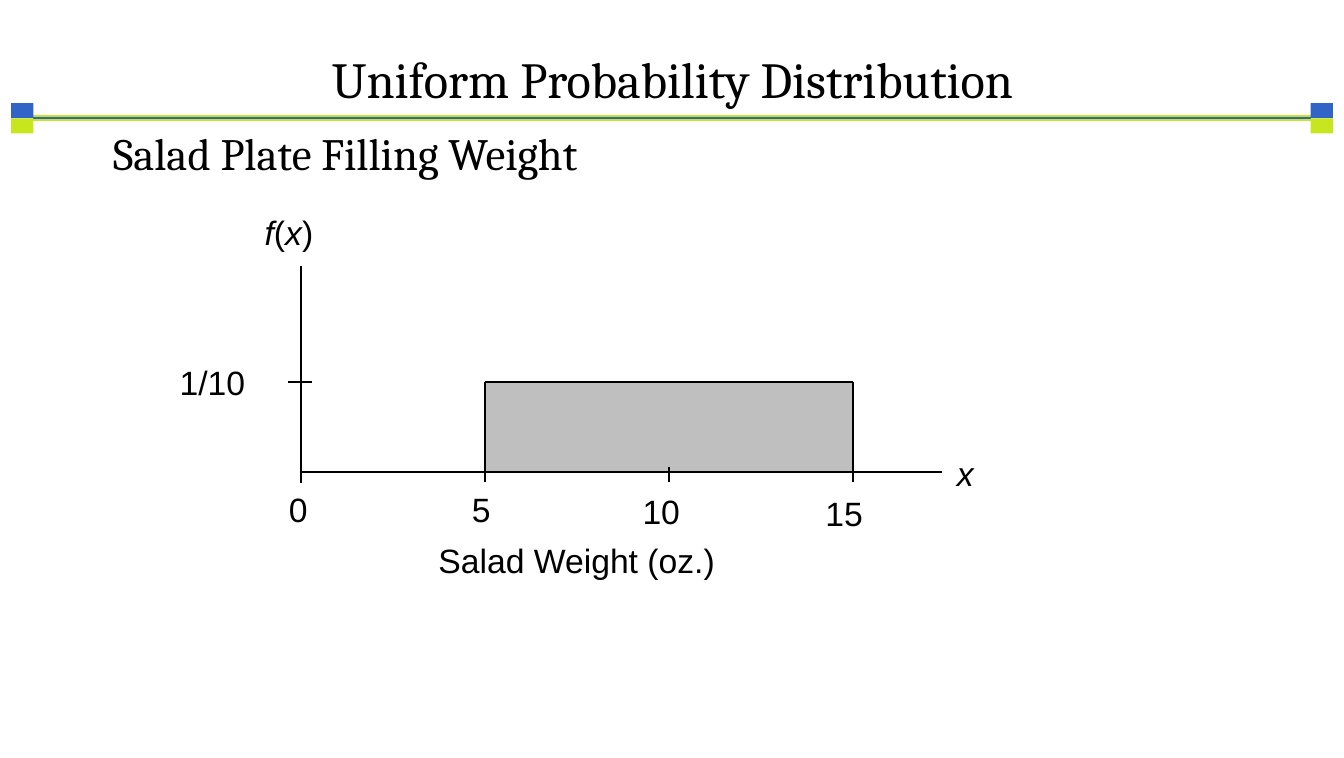
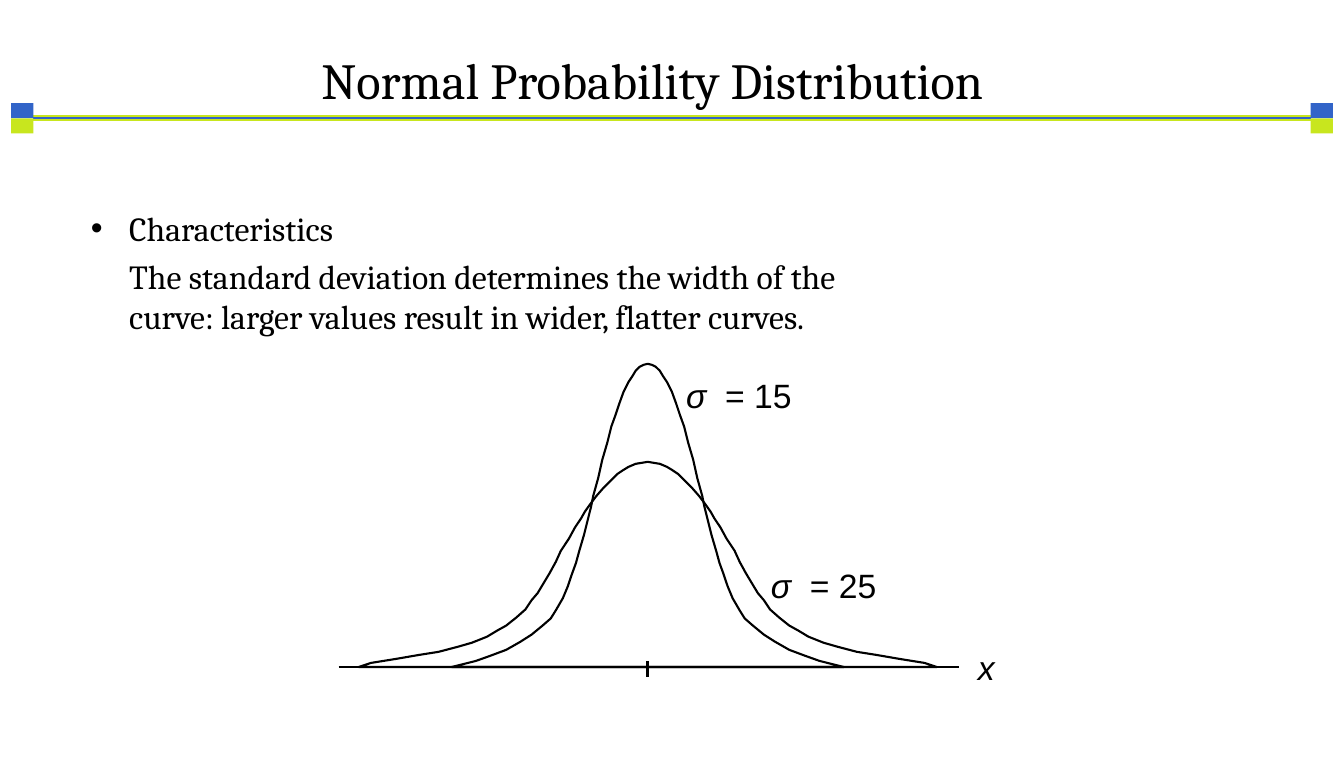
from pptx import Presentation
from pptx.dml.color import RGBColor
from pptx.enum.shapes import MSO_CONNECTOR, MSO_SHAPE
from pptx.enum.text import MSO_ANCHOR, PP_ALIGN
from pptx.oxml.ns import qn
from pptx.util import Inches, Pt
from lxml import etree

STRAIGHT = MSO_CONNECTOR.STRAIGHT
RECTANGLE = MSO_SHAPE.RECTANGLE
LEFT, CENTER = PP_ALIGN.LEFT, PP_ALIGN.CENTER
TOP, MIDDLE = MSO_ANCHOR.TOP, MSO_ANCHOR.MIDDLE

COLORS = {"text": "000000", "blue": "3264C8", "lime": "C8E61E", "area": "BFBFBF"}
SERIF = {"name": "Cambria", "size": Pt(24)}
SANS = {"name": "Arial", "size": Pt(24)}
TITLE = {"name": "Cambria", "size": Pt(36)}
SUBTITLE = {"name": "Cambria", "size": Pt(31.9)}
SIGMA_GAP = 670

NARROW_HALF = [
    (0, 3), (0.04, 2.99), (0.08, 2.97), (0.12, 2.93), (0.15, 2.88), (0.19, 2.82),
    (0.24, 2.72), (0.28, 2.61), (0.32, 2.49), (0.36, 2.38), (0.4, 2.22), (0.45, 2.05),
    (0.49, 1.87), (0.54, 1.69), (0.56, 1.59), (0.6, 1.43), (0.63, 1.31), (0.68, 1.14),
    (0.71, 1.03), (0.75, 0.92), (0.79, 0.8), (0.84, 0.68), (0.91, 0.56), (0.96, 0.48),
    (1.04, 0.41), (1.15, 0.32), (1.26, 0.25), (1.4, 0.17), (1.56, 0.11), (1.7, 0.06),
    (1.94, 0),
]
WIDE_HALF = [
    (0, 2.03), (0.06, 2.02), (0.12, 2.01), (0.19, 1.98), (0.24, 1.95), (0.3, 1.91),
    (0.37, 1.84), (0.44, 1.77), (0.51, 1.69), (0.57, 1.61), (0.62, 1.54), (0.66, 1.47),
    (0.72, 1.38), (0.78, 1.27), (0.86, 1.15), (0.91, 1.04), (0.97, 0.93), (1.03, 0.83),
    (1.09, 0.73), (1.15, 0.66), (1.21, 0.57), (1.3, 0.49), (1.4, 0.41), (1.49, 0.36),
    (1.59, 0.3), (1.74, 0.24), (1.88, 0.2), (2.07, 0.15), (2.26, 0.12), (2.49, 0.08),
    (2.74, 0.04), (2.86, 0),
]


def rgb(name):
    """Return the named palette colour."""
    return RGBColor.from_string(COLORS[name])


def add_text(page, box, paragraphs, font, wrap=True, anchor=TOP, **layout):
    """Place paragraphs, each a list of (text, italic) runs."""
    frame = page.shapes.add_textbox(*map(Inches, box)).text_frame
    frame.word_wrap = wrap
    frame.vertical_anchor = anchor
    for index, runs in enumerate(paragraphs):
        para = frame.paragraphs[0] if index == 0 else frame.add_paragraph()
        for key, value in {"alignment": LEFT, **layout}.items():
            setattr(para, key, value)
        for text, italic in runs:
            span = para.add_run()
            span.text = text
            for key, value in {**font, "italic": italic}.items():
                setattr(span.font, key, value)
            span.font.color.rgb = rgb("text")
    return frame


def add_label(page, left, top, width, *runs):
    """Place a one-line chart label."""
    return add_text(page, (left, top, width, 0.5), [runs], SANS, wrap=False)


def add_line(page, start, end, width=1, color="text"):
    """Draw a straight line without shadow."""
    line = page.shapes.add_connector(STRAIGHT, *map(Inches, (*start, *end)))
    line.line.width = Pt(width)
    line.line.color.rgb = rgb(color)
    etree.SubElement(line._element.spPr, qn("a:effectLst"))


def add_block(page, box, color):
    """Draw a plain filled rectangle."""
    block = page.shapes.add_shape(RECTANGLE, *map(Inches, box))
    block.shadow.inherit = False
    block.fill.solid()
    block.fill.fore_color.rgb = rgb(color)
    block.line.fill.background()


def add_page(deck, title, title_box):
    """Add a blank page with the shared band and title."""
    page = deck.slides.add_slide(deck.slide_layouts[6])
    for color, width in (("lime", 4.5), ("blue", 1.75)):
        add_line(page, (0.33, 1.17), (12.97, 1.17), width, color)
    for left in (0.11, 12.97):
        for top, color in ((1.02, "blue"), (1.17, "lime")):
            add_block(page, (left, top, 0.22, 0.15), color)
    add_text(page, title_box, [[(title, False)]], TITLE,
             anchor=MIDDLE, alignment=CENTER, line_spacing=0.9)
    return page


def draw_uniform(page, left, base):
    """Draw the uniform density with its axes from the given origin."""
    step, height = 1.82, 0.89
    start, end, top = left + step, left + 3 * step, base - height
    add_block(page, (start, top, end - start, height), "area")
    add_line(page, (left, base - 2.04), (left, base + 0.11))
    add_line(page, (left, base), (left + 6.34, base))
    add_line(page, (left - 0.13, top), (left + 0.11, top))
    add_line(page, (start, top), (end, top))
    for edge in (start, end):
        add_line(page, (edge, top), (edge, base))
    ticks = (("0", -0.22, 0.12, 0.39), ("5", -0.23, 0.12, 0.39),
             ("10", -0.36, 0.14, 0.58), ("15", -0.37, 0.16, 0.58))
    for index, (text, shift, drop, width) in enumerate(ticks):
        center = left + index * step
        if index:
            add_line(page, (center, base - 0.05), (center, base + 0.1))
        add_label(page, center + shift, base + drop, width, (text, False))
    add_label(page, left - 0.46, base - 2.62, 0.69,
              ("f", True), ("(", False), ("x", True), (")", False))
    add_label(page, left - 1.3, base - 1.14, 0.86, ("1/10", False))
    add_label(page, left + 1.26, base + 0.62, 2.96, ("Salad Weight (oz.)", False))
    add_label(page, left + 6.39, base - 0.24, 0.37, ("x", True))


def draw_bell(page, center, base, half):
    """Draw a closed symmetric curve from its right half."""
    offsets = [(-x, y) for x, y in reversed(half)] + half[1:]
    points = [(Inches(center + x), Inches(base - y)) for x, y in offsets]
    builder = page.shapes.build_freeform(*points[0])
    builder.add_line_segments(points[1:], close=True)
    curve = builder.convert_to_shape()
    curve.shadow.inherit = False
    curve.fill.background()
    curve.line.width = Pt(1.5)
    curve.line.color.rgb = rgb("text")


def draw_normal(page, center, base):
    """Draw both normal curves, their axis and labels."""
    for half in (NARROW_HALF, WIDE_HALF):
        draw_bell(page, center, base, half)
    add_line(page, (center - 3.06, base), (center + 3.08, base), 1.5)
    add_line(page, (center, base - 0.06), (center, base + 0.1), 2.25)
    for value, shift, rise in ((15, 0.28, 2.94), (25, 1.12, 1.06)):
        frame = add_label(page, center + shift, base - rise, 1.25,
                          ("σ", True), (f" = {value}", False))
        sigma = frame.paragraphs[0].runs[0]
        sigma._r.get_or_add_rPr().set("spc", str(SIGMA_GAP))
    add_label(page, center + 3.17, base - 0.25, 0.37, ("x", True))


def add_bullet(frame, indent):
    """Give the first paragraph a hanging bullet."""
    properties = frame.paragraphs[0]._p.get_or_add_pPr()
    properties.set("marL", str(Inches(indent)))
    properties.set("indent", str(-Inches(indent)))
    etree.SubElement(properties, qn("a:buFont")).set("typeface", "Arial")
    etree.SubElement(properties, qn("a:buChar")).set("char", "•")


def uniform_page(deck):
    """Build the uniform distribution page."""
    page = add_page(deck, "Uniform Probability Distribution", (1, 0.44, 11.31, 0.74))
    add_text(page, (1.02, 1.26, 11.31, 0.6), [[("Salad Plate Filling Weight", False)]],
             SUBTITLE, line_spacing=0.9, space_before=Pt(7.5))
    draw_uniform(page, 2.98, 4.67)


def normal_page(deck):
    """Build the normal distribution page."""
    page = add_page(deck, "Normal Probability Distribution", (0.8, 0.51, 11.31, 0.63))
    frame = add_text(page, (0.8, 2.01, 4.95, 0.59), [[("Characteristics", False)]],
                     SERIF, space_before=Pt(5))
    add_bullet(frame, 0.38)
    lines = ("The standard deviation determines the width of the",
             "curve: larger values result in wider, flatter curves.")
    add_text(page, (1.18, 2.38, 11.46, 1.1), [[(line, False)] for line in lines],
             SERIF, anchor=MIDDLE)
    draw_normal(page, 6.41, 6.6)


def main():
    """Build and save the deck."""
    deck = Presentation()
    deck.slide_width, deck.slide_height = Inches(13.3), Inches(7.5)
    uniform_page(deck)
    normal_page(deck)
    deck.save("out.pptx")


if __name__ == "__main__":
    main()
